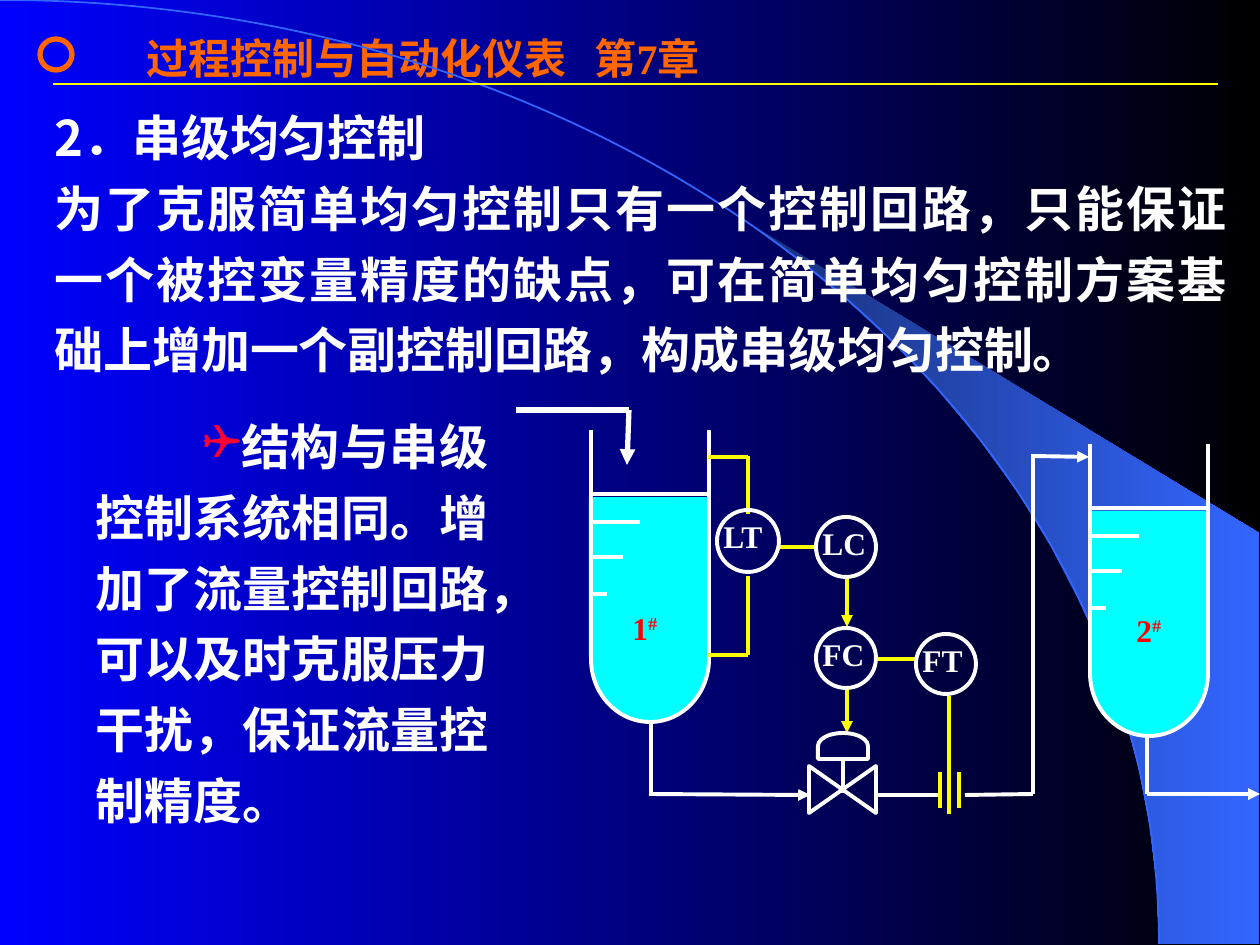
from dataclasses import dataclass
from math import asin, cos, pi, sin

from lxml.etree import SubElement
from pptx import Presentation
from pptx.dml.color import RGBColor
from pptx.enum.shapes import MSO_CONNECTOR, MSO_SHAPE
from pptx.enum.text import MSO_ANCHOR, MSO_AUTO_SIZE, PP_ALIGN
from pptx.oxml.ns import qn
from pptx.util import Emu, Pt

SCALE = 914400 / 126
WIDTH, HEIGHT = 1260, 945
WHITE, YELLOW, ORANGE, RED, CYAN = "FFFFFF", "FFFF00", "FF6600", "FF0000", "00FFFF"
BLUE, DARK_BLUE = "3366FF", "182F76"
LATIN, CHINESE = "Times New Roman", "Noto Sans CJK SC"


@dataclass
class Tank:
    number: str
    left: int
    top: int
    label_left: int
    label_top: int


@dataclass
class Instrument:
    name: str
    left: int
    top: int
    size: int = 60


@dataclass
class Pipe:
    start: tuple[int, int]
    end: tuple[int, int]
    colour: str = WHITE
    arrow: bool = False
    weight: float = 2.25


TANKS = [Tank("1", 591, 430, 620, 595), Tank("2", 1090, 444, 1124, 597)]
INSTRUMENTS = [
    Instrument("LT", 717, 510, 62),
    Instrument("LC", 816, 517),
    Instrument("FC", 816, 628),
    Instrument("FT", 916, 634),
]
PIPES = [
    Pipe((516, 410), (629, 410), weight=3),
    Pipe((629, 410), (627, 465), arrow=True, weight=3),
    Pipe((651, 721), (651, 795)),
    Pipe((649, 794), (810, 795), arrow=True),
    Pipe((878, 795), (940, 795)),
    Pipe((965, 795), (1033, 794)),
    Pipe((1033, 454), (1033, 794)),
    Pipe((1033, 456), (1089, 457), arrow=True),
    Pipe((1147, 735), (1147, 794)),
    Pipe((1147, 794), (1260, 794), arrow=True),
    Pipe((843, 760), (843, 793)),
    Pipe((708, 457), (748, 457), YELLOW),
    Pipe((748, 456), (748, 514), YELLOW),
    Pipe((748, 576), (748, 655), YELLOW),
    Pipe((708, 655), (748, 655), YELLOW),
    Pipe((779, 547), (816, 547), YELLOW),
    Pipe((847, 578), (847, 627), YELLOW, arrow=True),
    Pipe((847, 689), (847, 733), YELLOW, arrow=True),
    Pipe((878, 659), (915, 659), YELLOW),
    Pipe((940, 772), (940, 808), YELLOW),
    Pipe((959, 772), (959, 808), YELLOW),
    Pipe((949, 814), (949, 696), YELLOW),
]


def px(length: float) -> Emu:
    """Turn pixels into EMU."""
    return Emu(round(length * SCALE))


def colour_of(value: str) -> RGBColor:
    """Turn a hex string into a colour."""
    return RGBColor.from_string(value)


def paint_gradient(fill, colours: list[str]) -> None:
    """Fill from left to right between two colours."""
    fill.gradient()
    fill.gradient_angle = 0
    for stop, colour, position in zip(fill.gradient_stops, colours, (0, 1)):
        stop.color.rgb = colour_of(colour)
        stop.position = position


def add_outline(slide, points: list[tuple[int, int]], closed: bool):
    """Draw an outline through the points."""
    builder = slide.shapes.build_freeform(*points[0], scale=SCALE)
    builder.add_line_segments(points[1:], close=closed)
    shape = builder.convert_to_shape()
    shape.shadow.inherit = False
    return shape


def add_backdrop(slide) -> None:
    """Draw the gradient, the beam and the quarter arc."""
    paint_gradient(slide.background.fill, ["0000FF", "000000"])
    steps, first = 14, asin(742 / 1159)
    angles = [first + (pi / 2 - first) * step / steps for step in range(steps + 1)]
    edge = [(round(1159 * sin(a)), round(944 * (1 - cos(a)))) for a in angles]
    beam = add_outline(slide, edge + [(1259, 944), (1259, 533)], True)
    paint_gradient(beam.fill, [DARK_BLUE, BLUE])
    beam.line.fill.background()
    arc = add_outline(slide, [(0, 0), (1159, 944)], False)
    arc.fill.background()
    arc.line.color.rgb = colour_of(BLUE)
    arc.line.width = Pt(1)
    segment = next(arc._element.iter(qn("a:lnTo")))
    curve = SubElement(segment.getparent(), qn("a:cubicBezTo"))
    for x, y in ((640, 0), (1159, 422), (1159, 944)):
        SubElement(curve, qn("a:pt"), x=str(x), y=str(y))
    segment.getparent().remove(segment)


def add_figure(slide, kind, left: int, top: int, width: int, height: int,
               fill: str | None = None, line: str | None = WHITE,
               weight: float = 2.25, rotation: int = 0) -> None:
    """Draw a preset shape."""
    shape = slide.shapes.add_shape(kind, px(left), px(top), px(width), px(height))
    shape.shadow.inherit = False
    shape.rotation = rotation
    if fill:
        shape.fill.solid()
        shape.fill.fore_color.rgb = colour_of(fill)
    else:
        shape.fill.background()
    if line:
        shape.line.color.rgb = colour_of(line)
        shape.line.width = Pt(weight)
    else:
        shape.line.fill.background()


def add_pipe(slide, pipe: Pipe) -> None:
    """Draw a straight line, with an arrowhead at its end if asked."""
    ends = [px(value) for value in (*pipe.start, *pipe.end)]
    connector = slide.shapes.add_connector(MSO_CONNECTOR.STRAIGHT, *ends)
    connector.line.color.rgb = colour_of(pipe.colour)
    connector.line.width = Pt(pipe.weight)
    if pipe.arrow:
        SubElement(connector.line._get_or_add_ln(), qn("a:tailEnd"), type="triangle")
    SubElement(connector._element.spPr, qn("a:effectLst"))


def add_run(paragraph, text: str, size: int, colour: str,
            latin: str = LATIN, raised: bool = False) -> None:
    """Add a bold run."""
    run = paragraph.add_run()
    run.text = text
    run.font.size = Pt(size)
    run.font.bold = True
    run.font.color.rgb = colour_of(colour)
    run.font.name = latin
    properties = run._r.get_or_add_rPr()
    SubElement(properties, qn("a:ea"), typeface=CHINESE)
    if raised:
        properties.set("baseline", "30000")


def add_text_frame(slide, left: int, top: int, width: int, height: int):
    """Add a wrapping text box and return its frame."""
    box = slide.shapes.add_textbox(px(left), px(top), px(width), px(height))
    box.text_frame.word_wrap = True
    return box.text_frame


def add_label(slide, left: int, top: int, text: str, colour: str, mark: str = "") -> None:
    """Add a short label with an optional raised mark."""
    paragraph = add_text_frame(slide, left, top, 86, 50).paragraphs[0]
    paragraph.line_spacing = 1.2
    add_run(paragraph, text, 18, colour)
    if mark:
        add_run(paragraph, mark, 18, colour, raised=True)


def add_tank(slide, tank: Tank) -> None:
    """Draw a filled tank with walls, level marks and number."""
    left, top = tank.left, tank.top
    add_figure(slide, MSO_SHAPE.OVAL, left, top + 166, 118, 126, CYAN)
    add_figure(slide, MSO_SHAPE.RECTANGLE, left - 2, top + 67, 120, 160, CYAN, None)
    for wall in (left, left + 118):
        add_pipe(slide, Pipe((wall, top), (wall, top + 227)))
    for depth, length in ((64, 118), (92, 49), (127, 32), (164, 16)):
        add_pipe(slide, Pipe((left + 1, top + depth), (left + length, top + depth)))
    add_label(slide, tank.label_left, tank.label_top, tank.number, RED, "#")


def add_instrument(slide, instrument: Instrument) -> None:
    """Draw a round instrument with its letters."""
    left, top, size = instrument.left, instrument.top, instrument.size
    add_figure(slide, MSO_SHAPE.OVAL, left, top, size, size)
    add_label(slide, left - 6, top - 7, instrument.name, WHITE)


def add_header(slide) -> None:
    """Fill the title and draw the ring and the rule beside it."""
    title = slide.shapes.title
    title.left, title.top, title.width, title.height = map(px, (134, 26, 1061, 63))
    frame = title.text_frame
    frame.auto_size = MSO_AUTO_SIZE.NONE
    frame.vertical_anchor = MSO_ANCHOR.TOP
    paragraph = frame.paragraphs[0]
    paragraph.alignment = PP_ALIGN.LEFT
    tabs = SubElement(paragraph._p.get_or_add_pPr(), qn("a:tabLst"))
    SubElement(tabs, qn("a:tab"), pos=str(px(448)), algn="l")
    add_run(paragraph, "过程控制与自动化仪表\t第7章", 24, ORANGE)
    add_figure(slide, MSO_SHAPE.OVAL, 40, 39, 32, 31, line=ORANGE, weight=3)
    add_pipe(slide, Pipe((53, 84), (1218, 84), YELLOW, weight=1.5))


def add_body(slide) -> None:
    """Add the introduction and the bulleted remark."""
    intro = add_text_frame(slide, 42, 89, 1197, 295)
    remark = add_text_frame(slide, 53, 398, 448, 436)
    bullet = remark.paragraphs[0]
    properties = bullet._p.get_or_add_pPr()
    properties.set("marL", str(px(30)))
    properties.set("indent", str(px(107)))
    SubElement(SubElement(properties, qn("a:buClr")), qn("a:srgbClr"), val="FF0033")
    SubElement(properties, qn("a:buFont"), typeface="Wingdings", charset="2")
    SubElement(properties, qn("a:buChar"), char="❑")
    for paragraph, text, latin in (
        (intro.paragraphs[0], "2．串级均匀控制", CHINESE),
        (intro.add_paragraph(), "为了克服简单均匀控制只有一个控制回路，只能保证一个被控变量精度的缺点，"
         "可在简单均匀控制方案基础上增加一个副控制回路，构成串级均匀控制。", CHINESE),
        (bullet, "结构与串级控制系统相同。增加了流量控制回路，可以及时克服压力干扰，"
         "保证流量控制精度。", LATIN),
    ):
        paragraph.alignment = PP_ALIGN.JUSTIFY
        paragraph.line_spacing = Pt(40.5)
        add_run(paragraph, text, 28, WHITE, latin)


def main() -> None:
    """Build and save the slide."""
    presentation = Presentation()
    presentation.slide_width, presentation.slide_height = px(WIDTH), px(HEIGHT)
    slide = presentation.slides.add_slide(presentation.slide_layouts[5])
    add_backdrop(slide)
    add_header(slide)
    add_body(slide)
    for tank in TANKS:
        add_tank(slide, tank)
    for pipe in PIPES:
        add_pipe(slide, pipe)
    add_figure(slide, MSO_SHAPE.FLOWCHART_COLLATE, 819, 756, 47, 67, rotation=270)
    add_figure(slide, MSO_SHAPE.FLOWCHART_DELAY, 830, 721, 26, 50, rotation=270)
    for instrument in INSTRUMENTS:
        add_instrument(slide, instrument)
    presentation.save("out.pptx")


if __name__ == "__main__":
    main()
